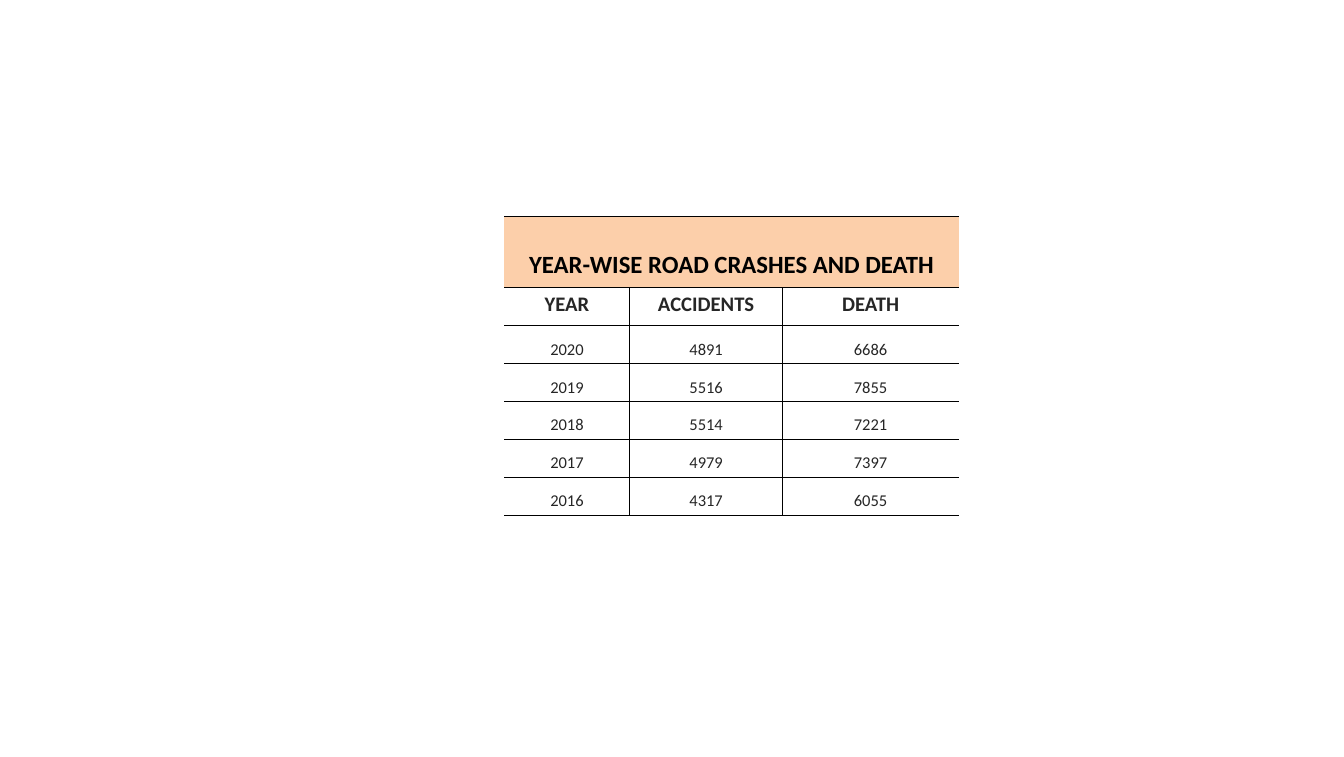
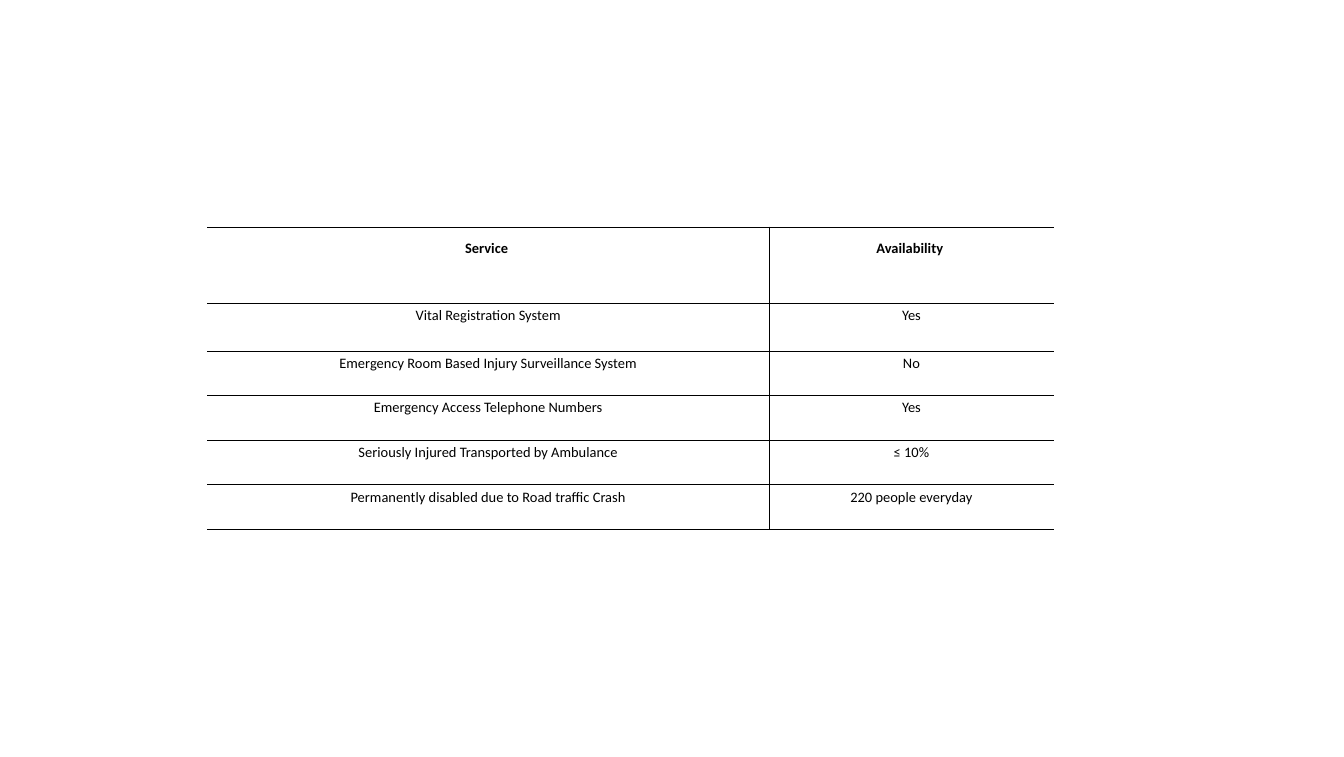
from lxml import etree
from pptx import Presentation
from pptx.dml.color import RGBColor
from pptx.enum.text import PP_ALIGN
from pptx.oxml.ns import qn
from pptx.util import Inches, Pt

CENTER = PP_ALIGN.CENTER
BLANK = 6
FONT = "Calibri"
COLORS = {"black": "000000", "gray": "262626", "peach": "FCCFAA", "white": "FFFFFF"}

TITLE = {"size": 24, "bold": True, "color": "black", "spacing": 2, "fill": "peach"}
YEAR_HEAD = {"size": 20, "bold": True, "color": "gray", "spacing": 1, "fill": "white"}
YEAR_BODY = {"size": 16, "bold": False, "color": "gray", "spacing": 1.5, "fill": "white"}
SERVICE_HEAD = {"size": 14, "bold": True, "color": "black", "spacing": 1.5, "fill": None}
SERVICE_BODY = {"size": 14, "bold": False, "color": "black", "spacing": 1, "fill": None}

TABLES = [
    {
        "at": (6.79, 2.91),
        "cols": [1.69, 2.06, 2.37],
        "heights": [0.97] + [0.51] * 6,
        "styles": [TITLE, YEAR_HEAD] + [YEAR_BODY] * 5,
        "rows": [
            ["YEAR-WISE ROAD CRASHES AND DEATH"],
            ["YEAR", "ACCIDENTS", "DEATH"],
            ["2020", "4891", "6686"],
            ["2019", "5516", "7855"],
            ["2018", "5514", "7221"],
            ["2017", "4979", "7397"],
            ["2016", "4317", "6055"],
        ],
    },
    {
        "at": (2.79, 3.06),
        "cols": [7.57, 3.83],
        "heights": [1.03, 0.64] + [0.6] * 4,
        "styles": [SERVICE_HEAD] + [SERVICE_BODY] * 5,
        "rows": [
            ["Service ", "Availability "],
            ["Vital Registration System", "Yes"],
            ["Emergency Room Based Injury Surveillance System", "No"],
            ["Emergency Access Telephone Numbers", "Yes"],
            ["Seriously Injured Transported by Ambulance", "≤ 10%"],
            ["Permanently disabled due to Road traffic Crash", "220 people everyday"],
        ],
    },
]


def set_borders(cell, left, right):
    tcPr = cell._tc.get_or_add_tcPr()
    for tag, shown in (("lnL", left), ("lnR", right), ("lnT", True), ("lnB", True)):
        ln = etree.SubElement(tcPr, qn("a:" + tag), w=str(Pt(1)))
        if shown:
            fill = etree.SubElement(ln, qn("a:solidFill"))
            etree.SubElement(fill, qn("a:srgbClr"), val=COLORS["black"])
        else:
            etree.SubElement(ln, qn("a:noFill"))


def write_cell(cell, text, style):
    if style["fill"]:
        cell.fill.solid()
        cell.fill.fore_color.rgb = RGBColor.from_string(COLORS[style["fill"]])
    else:
        cell.fill.background()
    p = cell.text_frame.paragraphs[0]
    p.alignment = CENTER
    p.line_spacing = style["spacing"]
    r = p.add_run()
    r.text = text
    r.font.name = FONT
    r.font.size = Pt(style["size"])
    r.font.bold = style["bold"]
    r.font.color.rgb = RGBColor.from_string(COLORS[style["color"]])


prs = Presentation()
prs.slide_width = Inches(18.1)
prs.slide_height = Inches(10.2)

for spec_table in TABLES:
    s = prs.slides.add_slide(prs.slide_layouts[BLANK])
    cols, heights, rows = spec_table["cols"], spec_table["heights"], spec_table["rows"]
    left, top = spec_table["at"]
    table = s.shapes.add_table(len(rows), len(cols), Inches(left), Inches(top),
                               Inches(sum(cols)), Inches(sum(heights))).table
    table.first_row = False
    table.horz_banding = False
    for column, width in zip(table.columns, cols):
        column.width = Inches(width)
    for row, height in zip(table.rows, heights):
        row.height = Inches(height)

    last = len(cols) - 1
    for i, (texts, style) in enumerate(zip(rows, spec_table["styles"])):
        divided = len(texts) > 1
        if not divided:
            table.cell(i, 0).merge(table.cell(i, last))
        for j in range(len(cols)):
            set_borders(table.cell(i, j), divided and j > 0, divided and j < last)
        for j, text in enumerate(texts):
            write_cell(table.cell(i, j), text, style)

prs.save("out.pptx")
